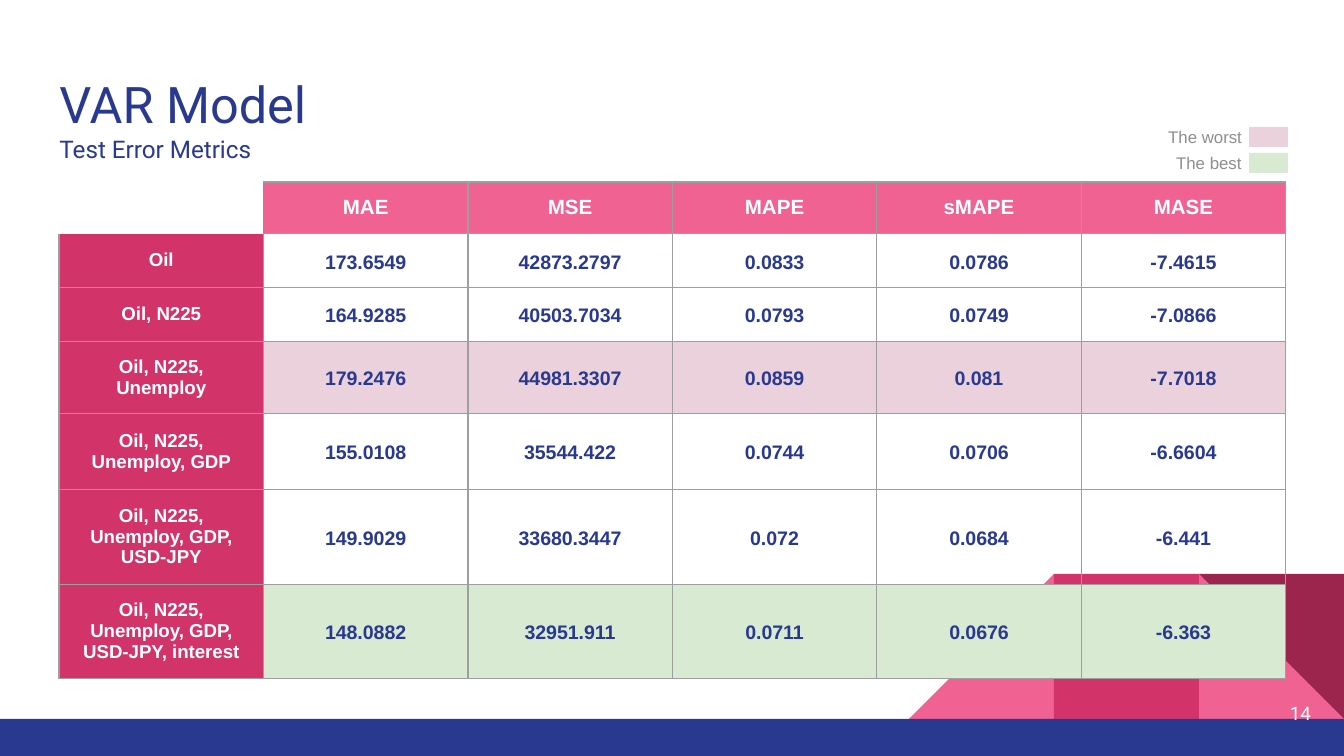
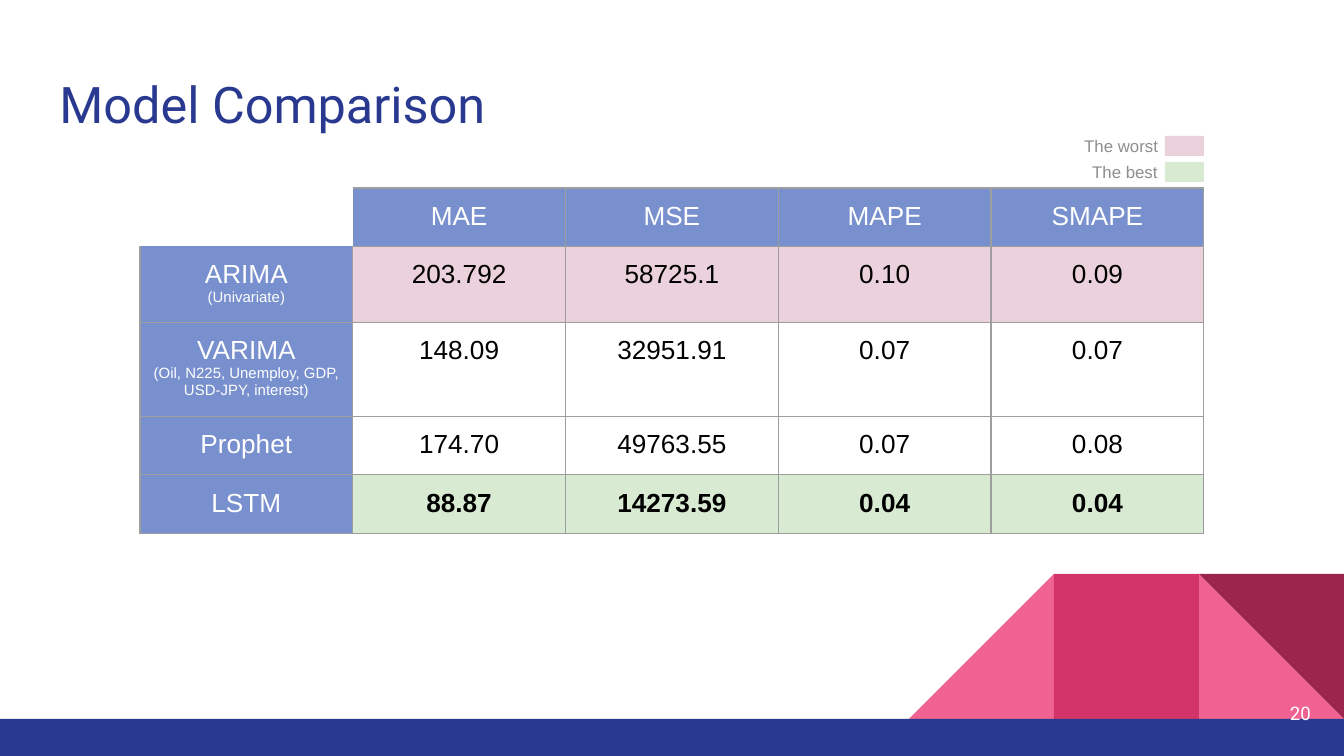
from lxml import etree
from pptx import Presentation
from pptx import util as u
from pptx.dml.color import RGBColor
from pptx.enum import shapes, text
from pptx.oxml.ns import qn

SCALE = 914400 / 134.4  # EMU in one px
COLOURS = {
    "navy": "2A3990", "rose": "F06292", "crimson": "D23369", "wine": "9C254D",
    "blue": "7890CD", "worst": "EBD1DC", "best": "D9EAD3", "border": "9E9E9E",
    "legend": "8E8E8E", "white": "FFFFFF", "black": "000000",
}
SHAPE = shapes.MSO_SHAPE
ALIGN = text.PP_ALIGN
ANCHOR = text.MSO_ANCHOR

# Content: each table row is (label lines, values, highlight)
SLIDES = [
    {
        "title": ["VAR Model", "Test Error Metrics"], "number": "14",
        "legend": (1249, 127),
        "table": {
            "at": (59, 182), "width": 1227, "heights": [51, 48, 48, 68, 76, 95, 89],
            "header": ["MAE", "MSE", "MAPE", "sMAPE", "MASE"],
            "rows": [
                (["Oil"], ["173.6549", "42873.2797", "0.0833", "0.0786", "-7.4615"], None),
                (["Oil, N225"], ["164.9285", "40503.7034", "0.0793", "0.0749", "-7.0866"], None),
                (["Oil, N225, Unemploy"],
                 ["179.2476", "44981.3307", "0.0859", "0.081", "-7.7018"], "worst"),
                (["Oil, N225, Unemploy, GDP"],
                 ["155.0108", "35544.422", "0.0744", "0.0706", "-6.6604"], None),
                (["Oil, N225, Unemploy, GDP, USD-JPY"],
                 ["149.9029", "33680.3447", "0.072", "0.0684", "-6.441"], None),
                (["Oil, N225, Unemploy, GDP, USD-JPY, interest"],
                 ["148.0882", "32951.911", "0.0711", "0.0676", "-6.363"], "best"),
            ],
            "fills": ("rose", "crimson"), "sizes": (11, 10, 10.5), "ink": "navy",
            "anchor": ANCHOR.MIDDLE, "spacing": 1.15, "bold": True,
        },
    },
    {
        "title": ["Model Comparison"], "number": "20",
        "legend": (1165, 136),
        "table": {
            "at": (140, 188), "width": 1064, "heights": [56] * 5,
            "header": ["MAE", "MSE", "MAPE", "SMAPE"],
            "rows": [
                (["ARIMA", "(Univariate)"], ["203.792", "58725.1", "0.10", "0.09"], "worst"),
                (["VARIMA", "(Oil, N225, Unemploy, GDP, USD-JPY, interest)"],
                 ["148.09", "32951.91", "0.07", "0.07"], None),
                (["Prophet"], ["174.70", "49763.55", "0.07", "0.08"], None),
                (["LSTM"], ["88.87", "14273.59", "0.04", "0.04"], "best"),
            ],
            "fills": ("blue", "blue"), "sizes": (14, 14, 14), "ink": "black",
            "anchor": ANCHOR.TOP, "spacing": None, "bold": False,
        },
    },
]
LEGEND = [("The worst", "worst", 94, 102), ("The best", "best", 86, 93)]
BACKDROP = [  # preset, left, top, width, height, colour, rotation, mirrored
    (SHAPE.RIGHT_TRIANGLE, 1199, 574, 145, 145, "rose", 0, False),
    (SHAPE.RIGHT_TRIANGLE, 909, 574, 145, 145, "rose", 0, True),
    (SHAPE.RECTANGLE, 1054, 574, 145, 145, "crimson", 0, False),
    (SHAPE.RIGHT_TRIANGLE, 1199, 574, 145, 145, "wine", 180, False),
    (SHAPE.RECTANGLE, 0, 719, 1344, 37, "navy", 0, False),
]


def px(*lengths):
    return [u.Emu(round(length * SCALE)) for length in lengths]


def colour(name):
    return RGBColor.from_string(COLOURS[name])


def style(para, size, ink, font="Arial", bold=False, align=ALIGN.LEFT):
    para.alignment = align
    for span in para.runs:
        span.font.name, span.font.size = font, u.Pt(size)
        span.font.bold, span.font.color.rgb = bold, colour(ink)


def add_block(parent, preset, left, top, width, height, fill):
    block = parent.add_shape(preset, *px(left, top, width, height))
    block.shadow.inherit = False
    block.fill.solid()
    block.fill.fore_color.rgb = colour(fill)
    block.line.fill.background()
    return block


def add_backdrop(page, layout):
    """Draw the corner shapes and the bottom band, then move them to the layout."""
    for index, (preset, *place, fill, turn, mirrored) in enumerate(BACKDROP):
        block = add_block(page.shapes, preset, *place, fill)
        block.rotation = turn
        if mirrored:
            block.element.spPr.find(qn("a:xfrm")).set("flipH", "1")
        block.element.nvSpPr.cNvPr.set("id", str(100 + index))
        layout.shapes.element.insert(2 + index, block.element)


def add_title(page, lines):
    title = page.shapes.title
    title.left, title.top, title.width, title.height = px(46, 60, 1253, 89)
    frame = title.text_frame
    frame.text = "\n".join(lines)
    frame.auto_size = text.MSO_AUTO_SIZE.NONE
    frame.vertical_anchor = ANCHOR.TOP
    frame.margin_left = frame.margin_right = frame.margin_top = frame.margin_bottom = u.Inches(0.1)
    for para, size in zip(frame.paragraphs, (27, 13)):
        style(para, size, "navy", "Roboto")


def add_number(page, number):
    box = page.shapes.add_textbox(*px(1243, 684, 81, 58))
    frame = box.text_frame
    frame.word_wrap = True
    frame.vertical_anchor = ANCHOR.MIDDLE
    frame.margin_top = frame.margin_bottom = u.Inches(0.1)
    frame.text = number
    style(frame.paragraphs[0], 10, "white", "Roboto", align=ALIGN.RIGHT)


def add_legend(page, left, top):
    group = page.shapes.add_group_shape()
    for index, (label, fill, offset, width) in enumerate(LEGEND):
        row_top = top + 26 * index
        add_block(group.shapes, SHAPE.RECTANGLE, left, row_top, 39, 20, fill)
        box = group.shapes.add_textbox(*px(left - offset, row_top - 7, width, 34))
        box.text_frame.word_wrap = False
        box.text_frame.auto_size = text.MSO_AUTO_SIZE.SHAPE_TO_FIT_TEXT
        box.text_frame.text = label
        style(box.text_frame.paragraphs[0], 9, "legend")


def set_borders(cell, hidden):
    properties = cell._tc.get_or_add_tcPr()
    for index, side in enumerate("LRTB"):
        line = etree.Element(qn(f"a:ln{side}"), w=str(u.Pt(0.75)))
        if side in hidden:
            etree.SubElement(line, qn("a:noFill"))
        else:
            solid = etree.SubElement(line, qn("a:solidFill"))
            etree.SubElement(solid, qn("a:srgbClr"), val=COLOURS["border"])
        properties.insert(index, line)


def fill_cell(cell, lines, fill, size, ink, bold, table):
    cell.margin_left = cell.margin_right = cell.margin_top = cell.margin_bottom = u.Inches(0.1)
    cell.vertical_anchor = table["anchor"]
    if fill:
        cell.fill.solid()
        cell.fill.fore_color.rgb = colour(fill)
    else:
        cell.fill.background()
    cell.text_frame.text = "\n".join(lines)
    for para, points in zip(cell.text_frame.paragraphs, (size, 8)):
        style(para, points, ink, bold=bold, align=ALIGN.CENTER)


def add_metrics(page, table):
    rows, columns = len(table["rows"]) + 1, len(table["header"]) + 1
    place = px(*table["at"], table["width"], sum(table["heights"]))
    grid = page.shapes.add_table(rows, columns, *place).table
    grid.first_row = grid.horz_banding = False
    for column in grid.columns:
        column.width = place[2] // columns
    for row, height in zip(grid.rows, px(*table["heights"])):
        row.height = height

    header_fill, label_fill = table["fills"]
    header_size, label_size, value_size = table["sizes"]
    bold = table["bold"]

    # Empty corner, kept small so that it does not stretch the header row
    corner = grid.cell(0, 0)
    fill_cell(corner, [], None, header_size, "white", False, table)
    etree.SubElement(corner.text_frame.paragraphs[0]._p, qn("a:endParaRPr"), sz="800")
    set_borders(corner, "LRTB")

    # Header row
    for c, name in enumerate(table["header"], 1):
        cell = grid.cell(0, c)
        fill_cell(cell, [name], header_fill, header_size, "white", bold, table)
        set_borders(cell, "L" if c == 1 else "")

    # Labels and values
    for r, (label, values, mark) in enumerate(table["rows"], 1):
        cell = grid.cell(r, 0)
        fill_cell(cell, label, label_fill, label_size, "white", bold, table)
        set_borders(cell, "T" if r == 1 else "")
        for c, value in enumerate(values, 1):
            cell = grid.cell(r, c)
            strong = bold or mark == "best"
            fill_cell(cell, [value], mark, value_size, table["ink"], strong, table)
            cell.text_frame.paragraphs[0].line_spacing = table["spacing"]
            set_borders(cell, "")


def main():
    deck = Presentation()
    deck.slide_width, deck.slide_height = px(1344, 756)
    layout = deck.slide_layouts[5]
    for index, content in enumerate(SLIDES):
        page = deck.slides.add_slide(layout)
        if index == 0:
            add_backdrop(page, layout)
        add_title(page, content["title"])
        add_number(page, content["number"])
        add_metrics(page, content["table"])
        add_legend(page, *content["legend"])
    deck.save("out.pptx")


if __name__ == "__main__":
    main()
